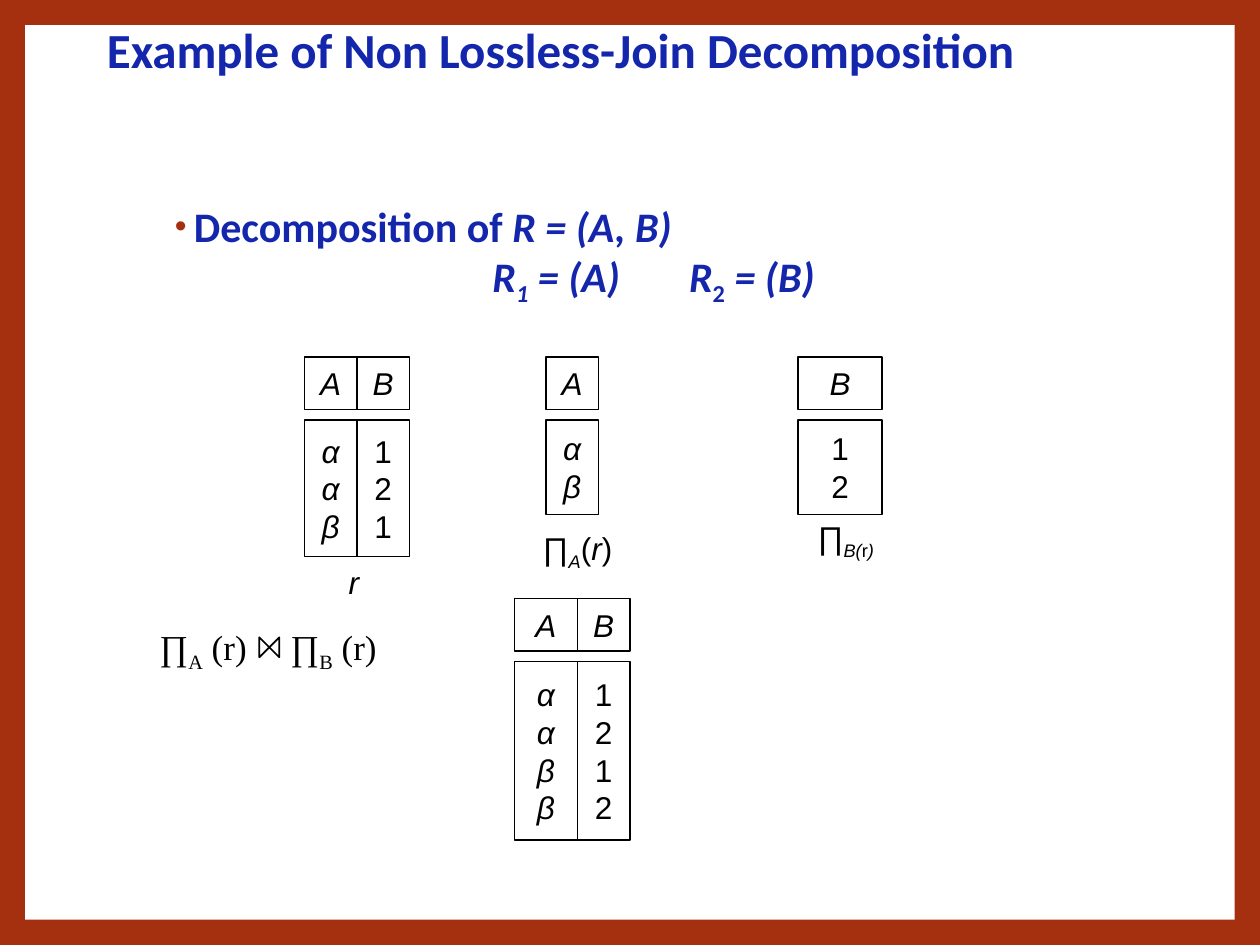
from lxml import etree
from pptx import Presentation
from pptx.dml.color import RGBColor
from pptx.enum.shapes import MSO_SHAPE
from pptx.enum.text import MSO_ANCHOR, PP_ALIGN
from pptx.oxml.ns import qn
from pptx.util import Inches, Pt

RECTANGLE = MSO_SHAPE.RECTANGLE
TOP, MIDDLE = MSO_ANCHOR.TOP, MSO_ANCHOR.MIDDLE
LEFT, CENTER = PP_ALIGN.LEFT, PP_ALIGN.CENTER
RUST, BLUE, BLACK, WHITE = "A5300F", "1426AC", "000000", "FFFFFF"
UNIT = Inches(1) / 12

HEADING = {"name": "Calibri", "size": Pt(28), "bold": True, "color": BLUE}
BODY = {**HEADING, "size": Pt(24)}
CELL = {"name": "Arial", "size": Pt(18), "color": BLACK}
FORMULA = {"name": "Times New Roman", "size": Pt(20), "color": BLACK}
ITALIC = {"italic": True}
SUBSCRIPT = {"baseline": "-25000"}
ITALIC_SUBSCRIPT = {**ITALIC, **SUBSCRIPT}


def color(value):
    return RGBColor.from_string(value)


def units(*values):
    return [round(value * UNIT) for value in values]


class RelationSlide:
    def __init__(self, presentation):
        self.slide = presentation.slides.add_slide(presentation.slide_layouts[6])
        background = self.slide.background.fill
        background.solid()
        background.fore_color.rgb = color(RUST)

    def add_runs(self, paragraph, runs, style):
        for text, changes in runs:
            if text == "\n":
                paragraph.add_line_break()
                continue
            run = paragraph.add_run()
            run.text = text
            for key, value in {**style, **changes}.items():
                if key == "color":
                    run.font.color.rgb = color(value)
                elif key == "baseline":
                    run._r.get_or_add_rPr().set(key, value)
                else:
                    setattr(run.font, key, value)

    def text(self, box, runs, style, wrap=True, anchor=TOP, align=LEFT, spacing=None):
        shape = self.slide.shapes.add_textbox(*units(*box))
        frame = shape.text_frame
        frame.word_wrap = wrap
        frame.vertical_anchor = anchor
        paragraph = frame.paragraphs[0]
        paragraph.alignment = align
        paragraph.line_spacing = spacing
        self.add_runs(paragraph, runs, style)
        return paragraph

    def label(self, box, runs):
        self.text(box, runs, CELL, wrap=False, anchor=MIDDLE, align=CENTER)

    def rectangle(self, box, line=None):
        shape = self.slide.shapes.add_shape(RECTANGLE, *units(*box))
        shape.shadow.inherit = False
        shape.fill.solid()
        shape.fill.fore_color.rgb = color(WHITE)
        if line:
            shape.line.color.rgb = color(line)
            shape.line.width = Pt(0.75)
        else:
            shape.line.fill.background()
        return shape

    def cell(self, box, values, changes):
        frame = self.rectangle(box, BLACK).text_frame
        frame.word_wrap = False
        frame.vertical_anchor = MIDDLE
        for index, value in enumerate(values):
            paragraph = frame.add_paragraph() if index else frame.paragraphs[0]
            paragraph.alignment = CENTER
            self.add_runs(paragraph, [(value, changes)], CELL)

    def relation(self, column, row, height, fields):
        for name, values, width in fields:
            self.cell((column, row, width, 5), name, ITALIC)
            self.cell((column, row + 6, width, height), values, ITALIC if name == "A" else {})
            column += width

    def bullet(self, paragraph):
        properties = paragraph._p.get_or_add_pPr()
        properties.set("marL", str(Inches(0.19)))
        properties.set("indent", str(Inches(-0.15)))
        bullet_color = etree.SubElement(properties, qn("a:buClr"))
        etree.SubElement(bullet_color, qn("a:srgbClr"), val=RUST)
        etree.SubElement(properties, qn("a:buSzPct"), val="80000")
        etree.SubElement(properties, qn("a:buFont"), typeface="Arial")
        etree.SubElement(properties, qn("a:buChar"), char="•")

    def tabs(self, paragraph, *positions):
        tab_list = etree.SubElement(paragraph._p.get_or_add_pPr(), qn("a:tabLst"))
        for position in positions:
            etree.SubElement(tab_list, qn("a:tab"), pos=str(Inches(position)), algn="l")

    def bowtie(self, column, row, size):
        builder = self.slide.shapes.build_freeform(0, 0, scale=size * UNIT)
        builder.add_line_segments([(0, 1), (1, 0), (1, 1)], close=True)
        shape = builder.convert_to_shape(*units(column, row))
        shape.shadow.inherit = False
        shape.fill.background()
        shape.line.color.rgb = color(BLACK)
        shape.line.width = Pt(1)


def main():
    presentation = Presentation()
    presentation.slide_width, presentation.slide_height = units(120, 90)
    page = RelationSlide(presentation)
    page.rectangle((2.4, 2.4, 115.2, 85.2))
    page.text((9, 2, 112, 6), [("Example of Non Lossless-Join Decomposition", {})],
              HEADING, anchor=MIDDLE, spacing=0.9)

    body = page.text((15, 19, 91.3, 11.4), [
        ("Decomposition of ", {}), ("R = (A, B)", ITALIC), ("\n", {}),
        ("\tR", ITALIC), ("1", ITALIC_SUBSCRIPT), (" = (A)\tR", ITALIC),
        ("2", SUBSCRIPT), (" = (B)", ITALIC),
    ], BODY, spacing=0.9)
    page.bullet(body)
    page.tabs(body, 2.56, 4.12)

    page.relation(29, 34, 13, [("A", "ααβ", 5), ("B", "121", 5)])
    page.relation(52, 34, 9, [("A", "αβ", 5)])
    page.relation(76, 34, 9, [("B", "12", 8)])
    page.relation(49, 57, 17, [("A", "ααββ", 6), ("B", "1212", 5)])

    page.label((32, 53, 3.4, 4.8), [("r", ITALIC)])
    page.label((50.4, 50, 9.2, 4.8), [
        ("∏", {}), ("A", ITALIC_SUBSCRIPT), ("(", {}), ("r", ITALIC), (")", {})])
    page.label((76.4, 49, 8.3, 4.8), [
        ("∏", {}), ("B(", ITALIC_SUBSCRIPT), ("r", SUBSCRIPT), (")", ITALIC_SUBSCRIPT)])

    join = page.text((14, 59, 33, 11.4), [
        ("∏", {}), ("A", SUBSCRIPT), (" (r)\t∏", {}), ("B", SUBSCRIPT), (" (r)", {}),
    ], FORMULA)
    page.tabs(join, 1.04)
    page.bowtie(24.7, 60.7, 1.9)
    presentation.save("out.pptx")


if __name__ == "__main__":
    main()
